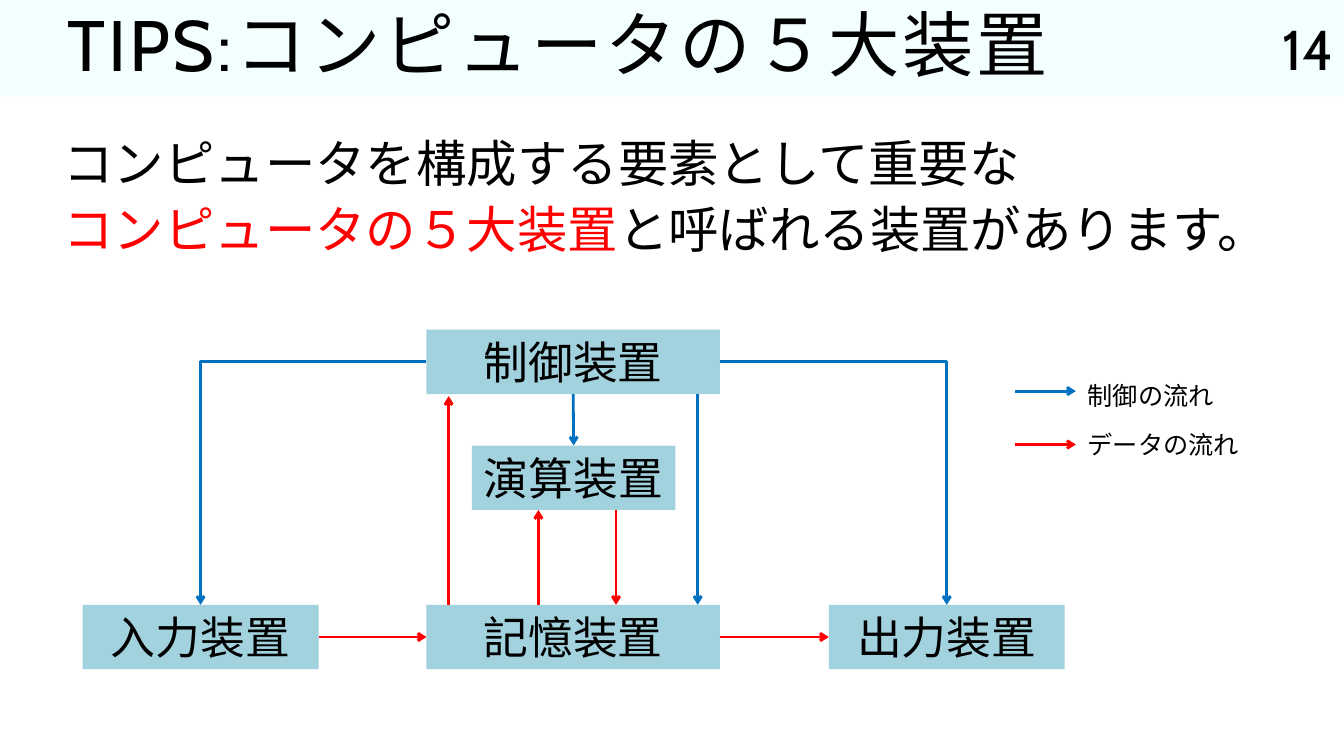
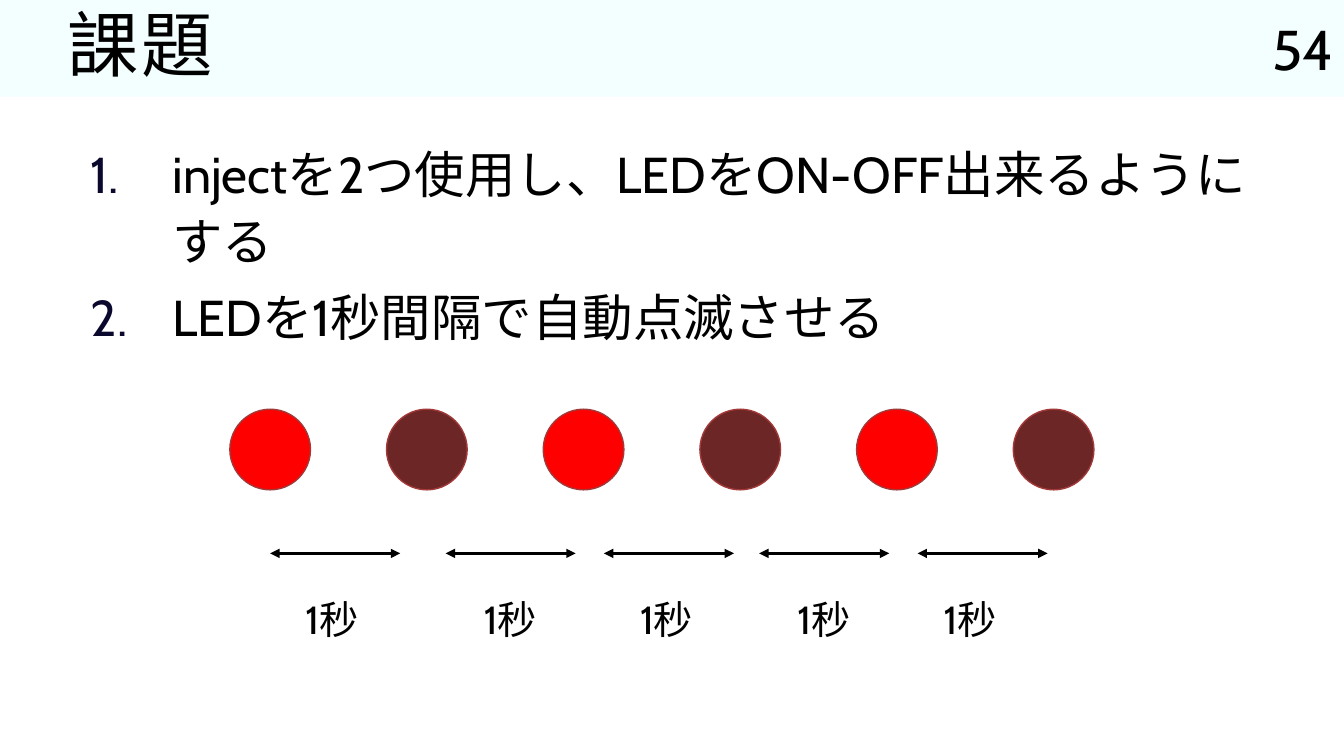
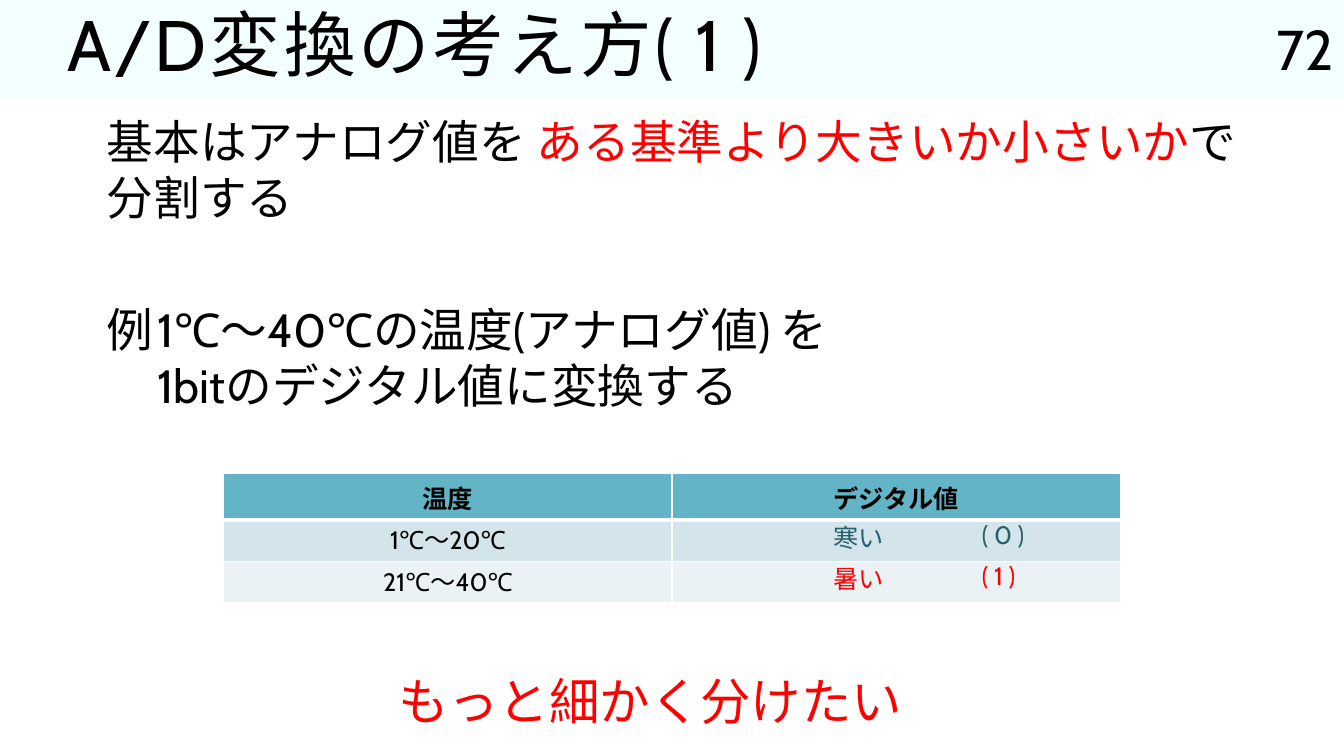
import pptx
import pptx.dml.color
import pptx.enum.shapes
import pptx.enum.text
import pptx.oxml
import pptx.oxml.ns
import pptx.util
from lxml import etree

Inches = pptx.util.Inches
Pt = pptx.util.Pt
RGBColor = pptx.dml.color.RGBColor
qn = pptx.oxml.ns.qn
ALIGN = pptx.enum.text.PP_ALIGN
ANCHOR = pptx.enum.text.MSO_ANCHOR
SHAPE = pptx.enum.shapes.MSO_SHAPE
CONNECTOR = pptx.enum.shapes.MSO_CONNECTOR

LATIN, JAPANESE = "Cabin", "Noto Sans CJK JP"
BLACK = RGBColor(0x00, 0x00, 0x00)
WHITE = RGBColor(0xFF, 0xFF, 0xFF)
RED = RGBColor(0xFF, 0x00, 0x00)
BLUE = RGBColor(0x00, 0x70, 0xC0)
TEAL = RGBColor(0x27, 0x60, 0x6D)
BAND = RGBColor(0xF3, 0xFE, 0xFF)
DEVICE = RGBColor(0xA1, 0xD2, 0xDD)
NUMBERING = RGBColor(0x0B, 0x08, 0x2E)
LED_OFF = RGBColor(0x6C, 0x26, 0x26)
LED_EDGE = RGBColor(0xA2, 0x39, 0x39)
HEADER_ROW = RGBColor(0x62, 0xB4, 0xC6)
BODY_ROWS = (RGBColor(0xD3, 0xE5, 0xEA), RGBColor(0xEA, 0xF2, 0xF5))
SLIDE_WIDTH, BAND_HEIGHT = 13.33, 0.96


def inches(*lengths):
    return [Inches(length) for length in lengths]


def add_element(parent, tag, **attributes):
    element = etree.SubElement(parent, qn(tag))
    for name, value in attributes.items():
        element.set(name, str(value))
    return element


def style_run(run, size, color=BLACK, latin=LATIN, asian=None, bold=False):
    """Format a run; Japanese text takes the Latin font unless asian is given."""
    run.font.size = Pt(size)
    run.font.color.rgb = color
    run.font.bold = bold
    run.font.name = latin
    add_element(run.font._element, "a:ea", typeface=asian or latin)


def style_frame(frame, size, align=ALIGN.LEFT, anchor=ANCHOR.TOP, wrap=True, **run_style):
    frame.word_wrap = wrap
    frame.auto_size = pptx.enum.text.MSO_AUTO_SIZE.NONE
    frame.vertical_anchor = anchor
    for paragraph in frame.paragraphs:
        paragraph.alignment = align
        for run in paragraph.runs:
            style_run(run, size, **run_style)


def add_label(slide, box, text, size, **style):
    frame = slide.shapes.add_textbox(*inches(*box)).text_frame
    frame.text = text
    style_frame(frame, size, **style)
    return frame


def add_shape(slide, kind, box, fill):
    shape = slide.shapes.add_shape(kind, *inches(*box))
    shape.shadow.inherit = False
    shape.fill.solid()
    shape.fill.fore_color.rgb = fill
    shape.line.fill.background()
    return shape


def add_arrow(slide, start, end, color, width=2, head=None, tail="arrow", bent=False):
    kind = CONNECTOR.ELBOW if bent else CONNECTOR.STRAIGHT
    connector = slide.shapes.add_connector(kind, *inches(*start, *end))
    connector.line.color.rgb = color
    connector.line.width = Pt(width)
    properties = connector.element.spPr
    if bent:
        properties.find(qn("a:prstGeom")).set("prst", "bentConnector2")
    line = properties.find(qn("a:ln"))
    if head:
        add_element(line, "a:headEnd", type=head)
    add_element(line, "a:tailEnd", type=tail)
    add_element(properties, "a:effectLst")
    return connector


def place(shape, box):
    shape.left, shape.top, shape.width, shape.height = inches(*box)


def add_slide(presentation, title, number, body_box):
    """Add a slide with its title and number; return it and its body frame."""
    slide = presentation.slides.add_slide(presentation.slide_layouts[1])
    heading = slide.shapes.title
    place(heading, (0.57, 0, SLIDE_WIDTH - 0.57, BAND_HEIGHT))
    heading.text_frame.text = title
    style_frame(heading.text_frame, 51, anchor=ANCHOR.MIDDLE)
    paragraph = heading.text_frame.paragraphs[0]
    paragraph.line_spacing = 0.9
    paragraph.runs[0].font._element.set("spc", "200")
    add_label(slide, (SLIDE_WIDTH - 1.5, 0, 1.5, BAND_HEIGHT), str(number), 40,
              align=ALIGN.RIGHT, anchor=ANCHOR.MIDDLE)
    body = slide.placeholders[1]
    place(body, body_box)
    return slide, body.text_frame


def add_layout_band(presentation):
    """Put the title band behind everything on the layout."""
    layout = presentation.slide_layouts[1]
    slide = presentation.slides[0]
    band = add_shape(slide, SHAPE.RECTANGLE, (0, 0, SLIDE_WIDTH, BAND_HEIGHT), BAND)
    layout.shapes.element.insert(2, band.element)


def set_paragraph(paragraph, line_spacing=1.0, before=0, indent=0, numbered=False, tab=None):
    paragraph.line_spacing = line_spacing
    paragraph.space_before = Pt(before)
    properties = paragraph._p.get_or_add_pPr()
    properties.set("marL", str(Inches(indent)))
    properties.set("indent", str(-Inches(indent)))
    if numbered:
        color = add_element(properties, "a:buClr")
        add_element(color, "a:srgbClr", val=NUMBERING)
        add_element(properties, "a:buFont", typeface="+mj-lt")
        add_element(properties, "a:buAutoNum", type="arabicPeriod")
    else:
        add_element(properties, "a:buNone")
    if tab:
        stops = add_element(properties, "a:tabLst")
        add_element(stops, "a:tab", pos=Inches(tab), algn="l")


def add_device_diagram(slide, left, top):
    low = 2.73
    height = 0.64
    devices = {}
    for name, x, y, width in (("制御装置", 3.41, 0, 2.91), ("演算装置", 3.86, 1.15, 2.02),
                              ("記憶装置", 3.41, low, 2.91), ("入力装置", 0, low, 2.34),
                              ("出力装置", 7.4, low, 2.34)):
        box = (left + x, top + y, width, height)
        shape = add_shape(slide, SHAPE.RECTANGLE, box, DEVICE)
        shape.text_frame.text = name
        style_frame(shape.text_frame, 32, align=ALIGN.CENTER, anchor=ANCHOR.MIDDLE,
                    wrap=False, latin=JAPANESE)
        devices[name] = shape, box

    def side_point(name, side):
        x, y, width, tall = devices[name][1]
        return ((x + width / 2, y), (x, y + tall / 2),
                (x + width / 2, y + tall), (x + width, y + tall / 2))[side]

    for source, out_side, target, in_side, color in (
            ("制御装置", 2, "演算装置", 0, BLUE), ("制御装置", 1, "入力装置", 0, BLUE),
            ("制御装置", 3, "出力装置", 0, BLUE), ("入力装置", 3, "記憶装置", 1, RED),
            ("記憶装置", 3, "出力装置", 1, RED)):
        bent = out_side in (1, 3) and in_side == 0
        arrow = add_arrow(slide, side_point(source, out_side), side_point(target, in_side),
                          color, bent=bent)
        arrow.begin_connect(devices[source][0], out_side)
        arrow.end_connect(devices[target][0], in_side)

    for x, start, end, color in ((6.1, height, low, BLUE), (3.63, low, 0.66, RED),
                                 (4.52, low, 1.79, RED), (5.29, 1.79, low, RED)):
        add_arrow(slide, (left + x, top + start), (left + x, top + end), color)


def add_legend(slide, left, top):
    for row, (text, color) in enumerate((("制御の流れ", BLUE), ("データの流れ", RED))):
        y = top + 0.53 * row
        add_arrow(slide, (left, y), (left + 0.6, y), color)
        add_label(slide, (left + 0.62, top - 0.16 + 0.49 * row, 2.05, 0.4), text, 18,
                  latin=JAPANESE)


def add_blink_timeline(slide, left, top):
    diameter = 0.8
    pitch = 7.77 / 5
    for index in range(6):
        led = add_shape(slide, SHAPE.OVAL, (left + index * pitch, top, diameter, diameter),
                        LED_OFF if index % 2 else RED)
        led.line.color.rgb = LED_EDGE
        led.line.width = Pt(1)
    arrow_top = top + 1.43
    for arrow_x, label_x in ((0.4, 0.65), (2.14, 2.42), (3.71, 3.97), (5.25, 5.53), (6.82, 6.98)):
        start = left + arrow_x
        add_arrow(slide, (start, arrow_top), (start + 1.29, arrow_top), BLACK, 2.25,
                  head="triangle", tail="triangle")
        add_label(slide, (left + label_x, top + 1.8, 0.99, 0.57), "1秒", 28, asian=JAPANESE)


def style_cell(cell, fill, bottom, **run_style):
    cell.fill.solid()
    cell.fill.fore_color.rgb = fill
    style_frame_paragraph = cell.text_frame.paragraphs[0]
    style_frame_paragraph.alignment = ALIGN.CENTER
    for run in style_frame_paragraph.runs:
        style_run(run, 18, **run_style)
    properties = cell._tc.get_or_add_tcPr()
    for position, (tag, width) in enumerate((("a:lnL", 1), ("a:lnR", 1),
                                             ("a:lnT", 1), ("a:lnB", bottom))):
        border = add_element(properties, tag, w=Pt(width))
        add_element(add_element(border, "a:solidFill"), "a:srgbClr", val=WHITE)
        properties.insert(position, border)


def add_conversion_table(slide, left, top):
    rows = (("温度", "デジタル値"), ("1℃～20℃", ""), ("21℃～40℃", ""))
    table = slide.shapes.add_table(3, 2, *inches(left, top, 8.89, 1.22)).table
    for row, texts in enumerate(rows):
        table.rows[row].height = Inches(0.41)
        for column, text in enumerate(texts):
            cell = table.cell(row, column)
            cell.text_frame.text = text
            if row == 0:
                style_cell(cell, HEADER_ROW, 3, latin=JAPANESE, bold=True)
            else:
                style_cell(cell, BODY_ROWS[row - 1], 1)
    for row, (feeling, bit, color) in enumerate((("寒い", "( 0 )", TEAL), ("暑い", "( 1 )", RED))):
        y = top + 0.4 + 0.41 * row
        add_label(slide, (left + 5.95, y + 0.03, 1.07, 0.4), feeling, 18,
                  color=color, latin=JAPANESE)
        add_label(slide, (left + 7.42, y, 1.07, 0.4), bit, 18, color=color)


def build_devices_slide(presentation):
    slide, body = add_slide(presentation, "TIPS:コンピュータの５大装置", 14,
                            (0.53, 1.2, 12.42, 1.66))
    body.text = "コンピュータを構成する要素として重要な\vコンピュータの５大装置"
    paragraph = body.paragraphs[0]
    paragraph.add_run().text = "と呼ばれる装置があります。"
    set_paragraph(paragraph, 1.1)
    style_frame(body, 36)
    paragraph.runs[1].font.color.rgb = RED
    add_device_diagram(slide, 0.82, 3.27)
    add_legend(slide, 10.07, 3.88)


def build_exercise_slide(presentation):
    slide, body = add_slide(presentation, "課題", 54, (0.8, 1.31, 12.08, 2.5))
    body.text = "injectを2つ使用し、LEDをON-OFF出来るようにする\nLEDを1秒間隔で自動点滅させる"
    for index, paragraph in enumerate(body.paragraphs):
        set_paragraph(paragraph, 1.1, before=7 * index, indent=0.81, numbered=True)
    style_frame(body, 36)
    add_blink_timeline(slide, 2.28, 4.06)


def build_conversion_slide(presentation):
    slide, body = add_slide(presentation, "A/D変換の考え方( 1 )", 72, (0.96, 1.07, 11.78, 3.17))
    body.text = ("基本はアナログ値を \n"
                 "例\t1℃～40℃の温度(アナログ値) を\v\t1bitのデジタル値に変換する")
    rule, example = body.paragraphs
    rule.add_run().text = "ある基準より大きいか小さいか"
    rule.add_run().text = "で"
    rule.add_line_break()
    rule.add_run().text = "分割する"
    set_paragraph(rule)
    set_paragraph(example, before=54, tab=1)
    style_frame(body, 33.3)
    rule.runs[1].font.color.rgb = RED
    add_conversion_table(slide, 2.22, 4.7)
    closing = add_label(slide, (3.85, 6.71, 5.27, 0.62), "もっと細かく分けたい", 36,
                        color=RED, latin=JAPANESE)
    closing.paragraphs[0].line_spacing = 0.8


def main():
    presentation = pptx.Presentation()
    presentation.slide_width = Inches(SLIDE_WIDTH)
    presentation.slide_height = Inches(7.5)
    build_devices_slide(presentation)
    build_exercise_slide(presentation)
    build_conversion_slide(presentation)
    add_layout_band(presentation)
    presentation.save("out.pptx")


if __name__ == "__main__":
    main()
